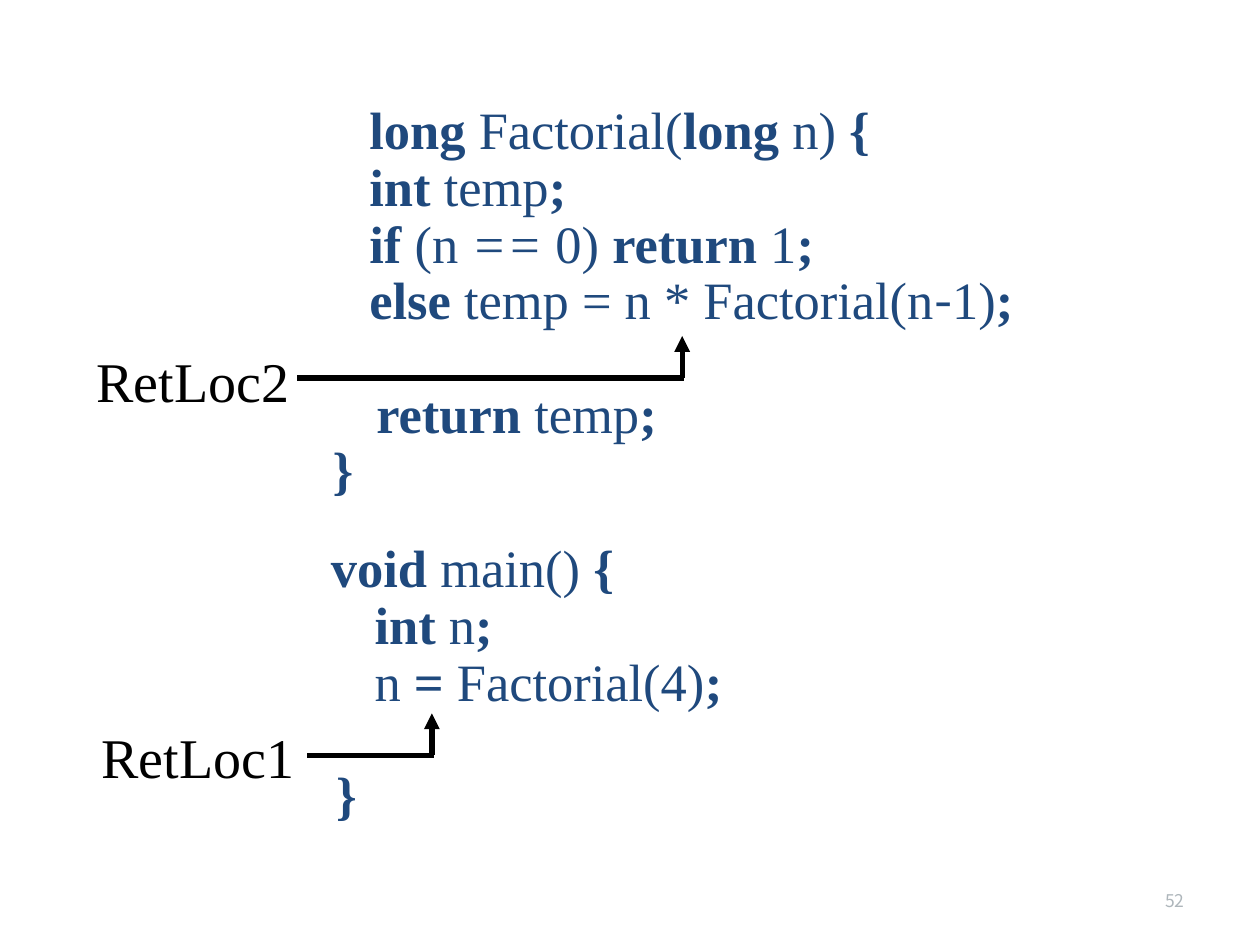
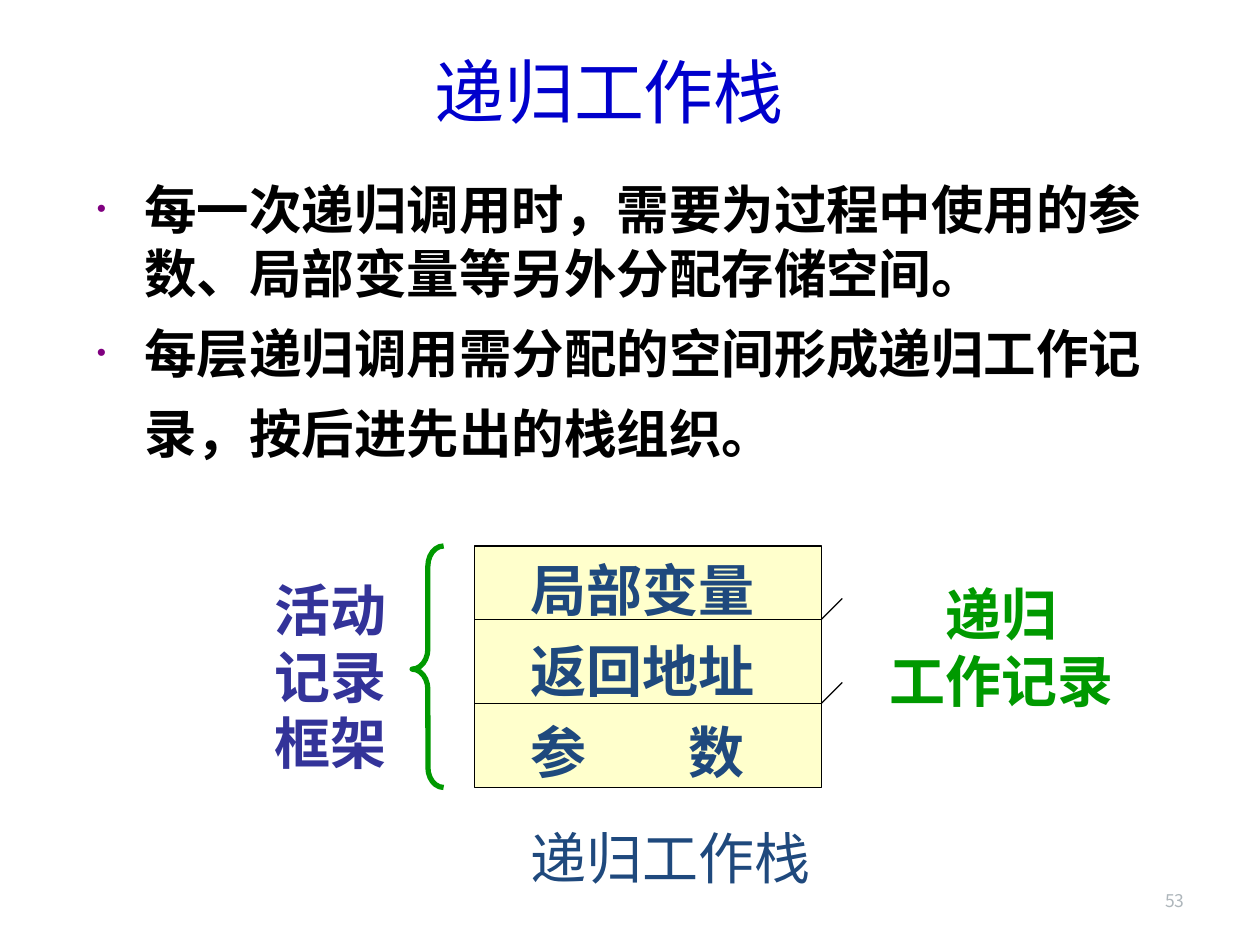
from lxml import etree
from pptx import Presentation
from pptx import util as u
from pptx.dml.color import RGBColor
from pptx.enum import shapes, text
from pptx.oxml.ns import qn

Pt = u.Pt
CJK = "Noto Sans CJK SC"
SERIF = "Times New Roman"
BODY = "Calibri"
NAVY, BLACK, GREEN, BLUE = "1F497D", "000000", "009900", "333399"
HEAD, GREY, PURPLE, CREAM = "0000CC", "AEB6BB", "800080", "FFFFCC"
LEFT, MID, RIGHT = text.PP_ALIGN.LEFT, text.PP_ALIGN.CENTER, text.PP_ALIGN.RIGHT
MARKS = {"~": {"italic": True}, "^": {"font": CJK}}


def tint(code):
    return RGBColor.from_string(code)


def write(par, words, size=32, font=SERIF, color=NAVY, bold=False, italic=False):
    run = par.add_run()
    run.text = words
    face = run.font
    face.size, face.name, face.bold, face.italic = Pt(size), font, bold, italic
    face.color.rgb = tint(color)
    east = etree.SubElement(run._r.get_or_add_rPr(), qn("a:ea"))
    east.set("typeface", CJK)


def indent(par, left, first=0):
    props = par._p.get_or_add_pPr()
    props.set("marL", str(Pt(left)))
    props.set("indent", str(Pt(first)))
    return props


def bullet(par):
    props = indent(par, 27, -27)
    shade = etree.SubElement(props, qn("a:buClr"))
    etree.SubElement(shade, qn("a:srgbClr")).set("val", PURPLE)
    etree.SubElement(props, qn("a:buSzPct")).set("val", "50000")
    etree.SubElement(props, qn("a:buFont")).set("typeface", "Arial")
    etree.SubElement(props, qn("a:buChar")).set("char", "•")


def stop(par, place):
    """Add a left tab stop to the paragraph."""
    tabs = etree.SubElement(par._p.get_or_add_pPr(), qn("a:tabLst"))
    etree.SubElement(tabs, qn("a:tab"), pos=str(Pt(place)), algn="l")


class Deck:
    def __init__(self):
        self.prs = Presentation()
        self.prs.slide_width, self.prs.slide_height = Pt(720), Pt(540)

    def page(self, layout, number):
        self.slide = self.prs.slides.add_slide(self.prs.slide_layouts[layout])
        self.label([str(number)], 516, 500.4, 168, 28.8, align=RIGHT, middle=True,
                   size=10, font=CJK, color=GREY)

    def frame(self, shape, x, y, w, h, top=3.6, wrap=True, middle=False):
        """Place a text shape and set up its frame."""
        shape.left, shape.top, shape.width, shape.height = map(Pt, (x, y, w, h))
        body = shape.text_frame
        body.auto_size = text.MSO_AUTO_SIZE.NONE
        body.word_wrap = wrap
        body.margin_left = body.margin_right = Pt(7.2)
        body.margin_top, body.margin_bottom = Pt(top), Pt(3.6)
        body.vertical_anchor = (text.MSO_ANCHOR.MIDDLE if middle
                                else text.MSO_ANCHOR.TOP)
        return body

    def pars(self, body, count, pitch=None, align=LEFT):
        """Give the frame count paragraphs and return them."""
        for _ in range(count - 1):
            body.add_paragraph()
        for par in body.paragraphs:
            par.alignment = align
            par.space_before = Pt(0)
            if pitch:
                par.line_spacing = Pt(pitch)
        return body.paragraphs

    def box(self):
        return self.slide.shapes.add_textbox(0, 0, 0, 0)

    def label(self, lines, x, y, w, h, top=3.6, wrap=True, middle=False,
              pitch=None, align=LEFT, **style):
        body = self.frame(self.box(), x, y, w, h, top, wrap, middle)
        pars = self.pars(body, len(lines), pitch, align)
        for par, line in zip(pars, lines):
            write(par, line, **style)
        return pars

    def code(self, lines, x, y, w, h, top=3.6):
        """Lines are (indent, lines skipped, words); bars switch bold off and on."""
        body = self.frame(self.box(), x, y, w, h, top)
        pitch = 32.4
        for par, (left, skip, words) in zip(self.pars(body, len(lines), pitch), lines):
            indent(par, left)
            par.space_before = Pt(skip * pitch)
            for i, part in enumerate(words.split("|")):
                if part:
                    extra = MARKS.get(part[0], {})
                    write(par, part[1:] if extra else part, size=30,
                          bold=i % 2 == 0, **extra)

    def title(self, words, x, y, w, h, **style):
        body = self.frame(self.slide.shapes.title, x, y, w, h, middle=True)
        write(self.pars(body, 1, align=MID)[0], words, **style)

    def items(self, rows, x, y, w, h, **style):
        """Fill the body placeholder with (pitch, words) bullets."""
        body = self.frame(self.slide.placeholders[1], x, y, w, h, top=6.6)
        for par, (pitch, words) in zip(self.pars(body, len(rows)), rows):
            par.line_spacing = Pt(pitch)
            bullet(par)
            write(par, words, **style)

    def line(self, x1, y1, x2, y2, width=3, arrow=False):
        line = self.slide.shapes.add_connector(
            shapes.MSO_CONNECTOR.STRAIGHT, *map(Pt, (x1, y1, x2, y2)))
        line.line.color.rgb, line.line.width = tint(BLACK), Pt(width)
        if arrow:
            tail = etree.SubElement(line.line._get_or_add_ln(), qn("a:tailEnd"))
            tail.set("type", "triangle")
        etree.SubElement(line._element.spPr, qn("a:effectLst"))

    def shape(self, kind, x, y, w, h, fill=None, color=BLACK, width=0.75):
        item = self.slide.shapes.add_shape(kind, *map(Pt, (x, y, w, h)))
        item.shadow.inherit = False
        if fill:
            item.fill.solid()
            item.fill.fore_color.rgb = tint(fill)
        else:
            item.fill.background()
        item.line.color.rgb, item.line.width = tint(color), Pt(width)
        return item

    def mark(self, name, x, y, start, end, base):
        """Label a return location and point from it up into the code."""
        self.label([name], x, y, 124.6, 46, top=7, wrap=False, color=BLACK)
        self.line(start, base, end + 1, base)
        self.line(end, base, end, base - 24, arrow=True)


def trace(deck):
    deck.page(6, 52)
    deck.code([(180, 0, "long| Factorial(|long| n) |{"),
               (180, 0, "int| temp|;"),
               (180, 0, "if| (n||~ ==|| 0) |return| 1|;"),
               (180, 0, "else| temp = n * Factorial(n||^-||1)|;"),
               (184, 1, "return| temp|;"),
               (159, 0, "}")], 24, 49.7, 636, 240.5, top=9.5)
    deck.code([(149, 0, "void |main()| {"),
               (174, 0, "int |n|;"),
               (174, 0, "|n| = |Factorial(4)|;"),
               (152, 1, "}")], 33, 306, 579, 169)
    deck.mark("RetLoc2", 48, 190.8, 170, 389.8, 216)
    deck.mark("RetLoc1", 51, 406, 175.7, 246.8, 431.7)


def stack(deck):
    deck.page(1, 53)
    deck.title("递归工作栈", 108, 20, 480, 63.4, size=40, font="DejaVu Sans", color=HEAD)
    deck.items([(36.3, "每一次递归调用时，需要为过程中使用的参数、局部变量等另外分配存储空间。"),
                (45.7, "每层递归调用需分配的空间形成递归工作记录，按后进先出的栈组织。")],
               48.2, 94.3, 612, 408, size=30, font=BODY, color=BLACK, bold=True)
    left, top, wide, high = 271.3, 312, 198, 138
    edge = left + wide
    deck.shape(shapes.MSO_SHAPE.RECTANGLE, left, top, wide, high, fill=CREAM)
    for y in (354, 402):
        deck.line(left, y, edge, y, width=0.75)
        deck.line(edge, y, edge + 12, y - 12, width=0.75)
    rows = deck.label(["局部变量", "返回地址", "参\t数"], 296, 306, 161, 184,
                      pitch=46.3, bold=True)
    stop(rows[-1], 90.3)
    brace = deck.shape(shapes.MSO_SHAPE.LEFT_BRACE, 235.5, top, 18, high,
                       color=GREEN, width=3)
    brace.adjustments[0], brace.adjustments[1] = 0.64, 0.51
    side = dict(top=7.8, pitch=37.9, bold=True)
    deck.label(["活动记录框架"], 150, 321.8, 85, 122.4, color=BLUE, **side)
    deck.label(["递归", "工作记录"], 501, 324, 142.6, 84, wrap=False, align=MID,
               color=GREEN, **side)
    deck.label(["递归工作栈"], 144.7, 465, 477.4, 49, align=MID, middle=True, font=BODY)


def main():
    deck = Deck()
    trace(deck)
    stack(deck)
    deck.prs.save("out.pptx")


if __name__ == "__main__":
    main()
